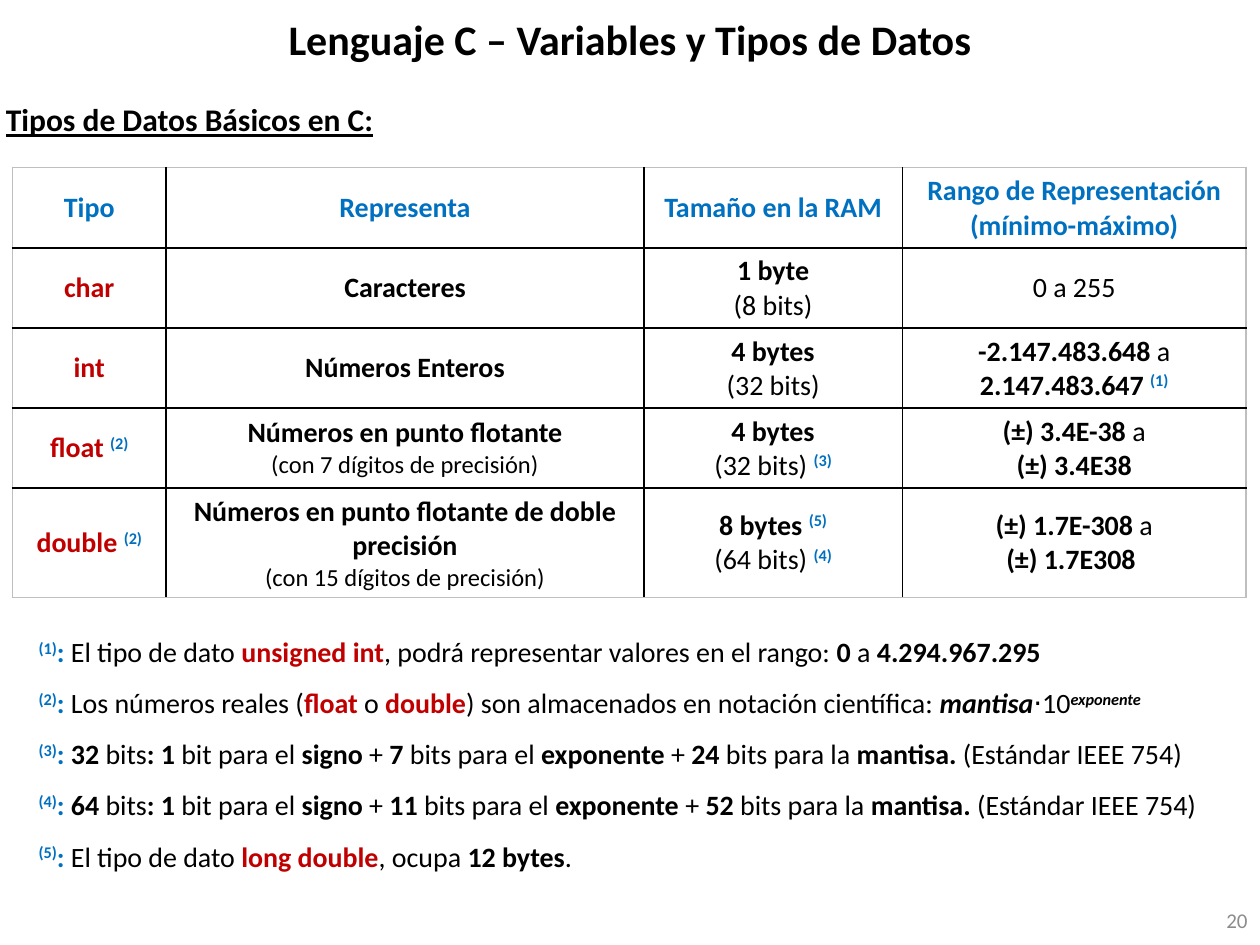
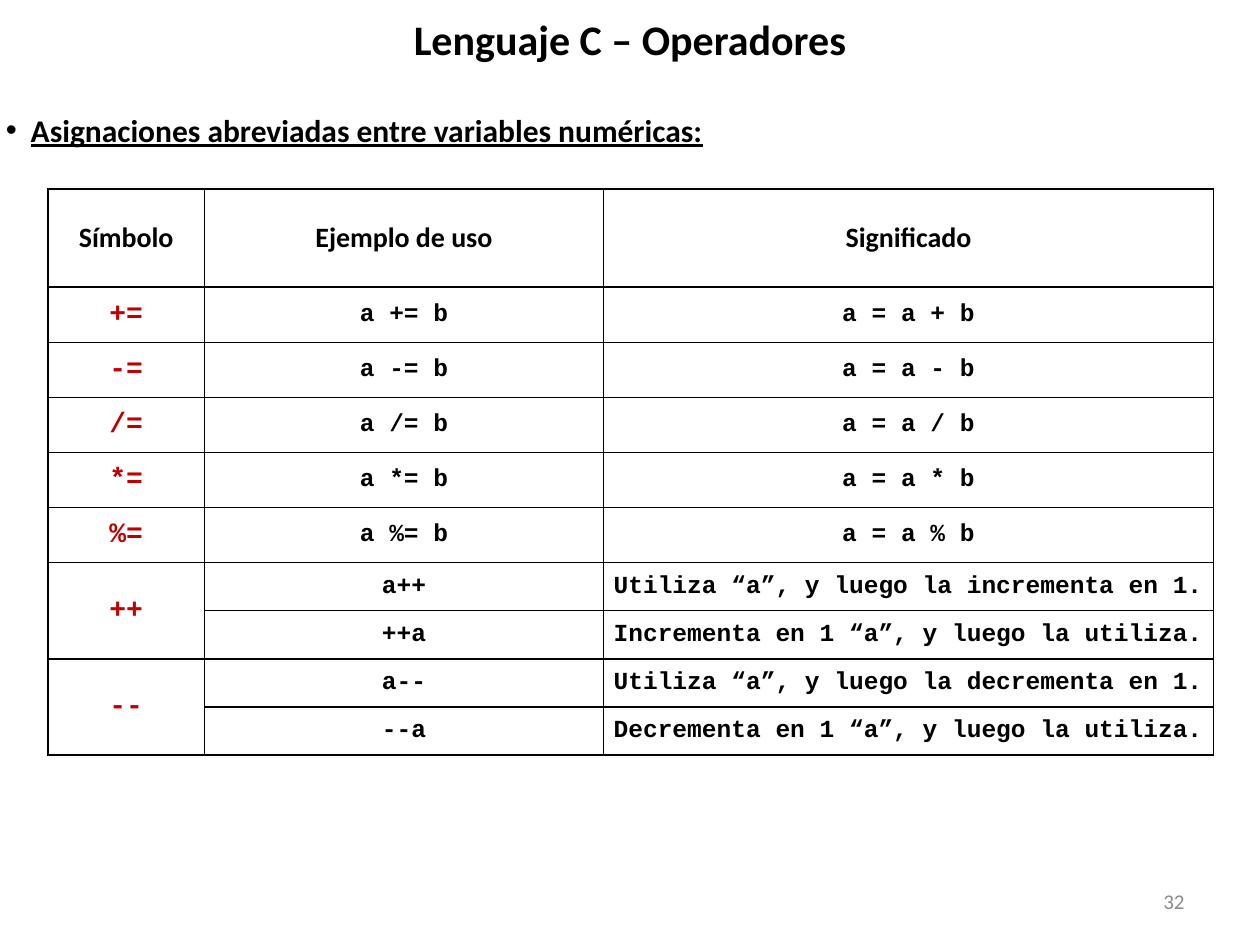
import functools
from dataclasses import dataclass

import lxml.etree
import pptx
import pptx.dml.color
import pptx.enum.text
import pptx.oxml.ns
import pptx.util

Cm = pptx.util.Cm
Pt = pptx.util.Pt
Align = pptx.enum.text.PP_ALIGN
Anchor = pptx.enum.text.MSO_ANCHOR
qn = pptx.oxml.ns.qn


@dataclass(frozen=True)
class Theme:
    black: str = "000000"
    white: str = "FFFFFF"
    blue: str = "0070C0"
    red: str = "C00000"
    grey: str = "8C8C8C"
    frame: str = "BFBFBF"
    font: str = "Calibri"
    code_font: str = "Courier New"
    title: int = 24
    heading: int = 18
    body: int = 16
    small: int = 14
    number: int = 12


THEME = Theme()


@dataclass(frozen=True)
class Run:
    text: str
    color: str = THEME.black
    bold: bool = False
    italic: bool = False
    underline: bool = False
    raised: bool = False


@dataclass(frozen=True)
class Line:
    """One paragraph: its runs, with a common size and typeface."""
    runs: tuple
    size: int = THEME.body
    font: str = THEME.font


plain = Run
bold = functools.partial(Run, bold=True)
header = functools.partial(bold, color=THEME.blue)
keyword = functools.partial(bold, color=THEME.red)
note = functools.partial(header, raised=True)


def line(*runs, **options):
    return Line(runs, **options)


def code(run, size=THEME.small):
    return line(run, size=size, font=THEME.code_font)


class Deck:
    def __init__(self, theme):
        self.theme = theme
        self.presentation = pptx.Presentation()
        self.presentation.slide_width = Cm(25.4)
        self.presentation.slide_height = Cm(19.05)
        self.slide = None

    def add_slide(self, title, number, number_left, number_top):
        layout = self.presentation.slide_layouts[6]
        self.slide = self.presentation.slides.add_slide(layout)
        self.text((1.27, 0, 22.86, 1.57), [line(bold(title), size=self.theme.title)],
                  Align.CENTER, Anchor.MIDDLE)
        self.text((number_left, number_top, 5.92, 1.02),
                  [line(plain(number, color=self.theme.grey), size=self.theme.number)],
                  Align.RIGHT, Anchor.MIDDLE)

    def text(self, box, lines, align=Align.JUSTIFY, anchor=Anchor.TOP,
             space_after=0, bullet=False):
        shape = self.slide.shapes.add_textbox(*map(Cm, box))
        frame = shape.text_frame
        frame.word_wrap = True
        frame.vertical_anchor = anchor
        self.set_lines(frame, lines, align, space_after, bullet)

    def heading(self, top, text, bullet=False):
        self.text((-0.13, top, 25.4, 1.02),
                  [line(bold(text, underline=True), size=self.theme.heading)],
                  bullet=bullet)

    def set_lines(self, frame, lines, align, space_after=0, bullet=False):
        for index, content in enumerate(lines):
            paragraph = frame.add_paragraph() if index else frame.paragraphs[0]
            paragraph.alignment = align
            if space_after:
                paragraph.space_after = Pt(space_after)
            if bullet:
                self.add_bullet(paragraph)
            paragraph.font.size = Pt(content.size)
            paragraph.font.name = content.font
            for part in content.runs:
                run = paragraph.add_run()
                run.text = part.text
                alone = len(content.runs) == 1
                self.style(paragraph.font if alone else run.font, part)
                if part.raised:
                    run._r.get_or_add_rPr().set("baseline", "30000")

    def style(self, font, part):
        font.color.rgb = pptx.dml.color.RGBColor.from_string(part.color)
        font.bold = part.bold
        font.italic = part.italic
        font.underline = part.underline

    def add_bullet(self, paragraph):
        properties = paragraph._p.get_or_add_pPr()
        indent = Cm(0.5)
        properties.set("marL", str(indent))
        properties.set("indent", str(-indent))
        lxml.etree.SubElement(properties, qn("a:buFont")).set("typeface", "Arial")
        lxml.etree.SubElement(properties, qn("a:buChar")).set("char", "•")

    def table(self, left, top, widths, heights, rows, margins, frame_color):
        """Draw rows of cells; None continues the cell above it."""
        graphic = self.slide.shapes.add_table(
            len(rows), len(widths), Cm(left), Cm(top),
            Cm(sum(widths)), Cm(sum(heights)))
        table = graphic.table
        table.first_row = table.horz_banding = False
        for column, width in zip(table.columns, widths):
            column.width = Cm(width)
        for row, height in zip(table.rows, heights):
            row.height = Cm(height)
        last_row, last_column = len(rows) - 1, len(widths) - 1
        for row, contents in enumerate(rows):
            for column, lines in enumerate(contents):
                cell = table.cell(row, column)
                edges = {"L": column == 0, "R": column == last_column,
                         "T": row == 0, "B": row == last_row}
                for side, outer in edges.items():
                    color = frame_color if outer else self.theme.black
                    self.add_border(cell, side, color)
                cell.fill.solid()
                cell.fill.fore_color.rgb = pptx.dml.color.RGBColor.from_string(
                    self.theme.white)
                cell.vertical_anchor = Anchor.MIDDLE
                cell.margin_left = cell.margin_right = Cm(margins[0])
                cell.margin_top = cell.margin_bottom = Cm(margins[1])
                if lines is None:
                    table.cell(row - 1, column).merge(cell)
                else:
                    self.set_lines(cell.text_frame, lines, Align.CENTER)

    def add_border(self, cell, side, color):
        properties = cell._tc.get_or_add_tcPr()
        border = lxml.etree.SubElement(properties, qn(f"a:ln{side}"), w=str(Pt(1)))
        fill = lxml.etree.SubElement(border, qn("a:solidFill"))
        lxml.etree.SubElement(fill, qn("a:srgbClr")).set("val", color)


def ieee_note(mark, bits, exponent, mantissa):
    return line(
        note(mark), header(":"), bold(f" {bits} "), plain("bits"), bold(": 1 "),
        plain("bit para el "), bold("signo "), plain("+ "), bold(f"{exponent} "),
        plain("bits para el "), bold("exponente "), plain("+ "),
        bold(f"{mantissa} "), plain("bits para la "), bold("mantisa."),
        plain(" (Estándar IEEE 754)"))


def build_data_types(deck):
    deck.add_slide("Lenguaje C – Variables y Tipos de Datos", "20", 19.48, 18.03)
    deck.heading(1.9, "Tipos de Datos Básicos en C:")
    rows = [
        [[line(header("Tipo"))], [line(header("Representa"))],
         [line(header("Tamaño en la RAM"))],
         [line(header("Rango de Representación")), line(header("(mínimo-máximo)"))]],
        [[line(keyword("char"))], [line(bold("Caracteres"))],
         [line(bold("1 byte")), line(plain("(8 bits)"))],
         [line(plain("0 a 255"))]],
        [[line(keyword("int"))], [line(bold("Números Enteros"))],
         [line(bold("4 bytes")), line(plain("(32 bits)"))],
         [line(bold("-2.147.483.648"), plain(" a")),
          line(bold("2.147.483.647 "), note("(1)"))]],
        [[line(keyword("float "), note("(2)"))],
         [line(bold("Números en punto flotante")),
          line(plain("(con 7 dígitos de precisión)"), size=THEME.small)],
         [line(bold("4 bytes")), line(plain("(32 bits) "), note("(3)"))],
         [line(bold("(±) 3.4E-38 "), plain("a")), line(bold("(±) 3.4E38"))]],
        [[line(keyword("double "), note("(2)"))],
         [line(bold("Números en punto flotante de doble precisión")),
          line(plain("(con 15 dígitos de precisión)"), size=THEME.small)],
         [line(bold("8 bytes "), note("(5)")),
          line(plain("(64 bits) "), note("(4)"))],
         [line(bold("(±) 1.7E-308 "), plain("a")), line(bold("(±) 1.7E308 "))]],
    ]
    deck.table(0.25, 3.38, [3.1, 9.63, 5.21, 6.93], [1.61] * 4 + [2.2],
               rows, (0.25, 0.13), THEME.frame)
    notes = [
        line(note("(1)"), header(": "), plain("El tipo de dato "),
             keyword("unsigned int"),
             plain(", podrá representar valores en el rango:"),
             bold(" 0 "), plain("a"), bold(" 4.294.967.295")),
        line(note("(2)"), header(": "), plain("Los números reales ("),
             keyword("float"), plain(" o "), keyword("double"),
             plain(") son almacenados en notación científica: "),
             bold("mantisa", italic=True), plain("⋅10"),
             bold("exponente", italic=True, raised=True)),
        ieee_note("(3)", 32, 7, 24),
        ieee_note("(4)", 64, 11, 52),
        line(note("(5)"), header(": "), plain("El tipo de dato "),
             keyword("long double"), plain(", ocupa "), bold("12 bytes"), plain(".")),
    ]
    deck.text((0.53, 12.67, 24.33, 5.11), notes, space_after=10)


def build_operators(deck):
    deck.add_slide("Lenguaje C – Operadores", "32", 18.21, 17.65)
    deck.heading(2.11, "Asignaciones abreviadas entre variables numéricas:", bullet=True)
    titles = ["Símbolo", "Ejemplo de uso", "Significado"]
    rows = [[[line(bold(title))] for title in titles]]
    operations = [(f"{sign}=", f"a {sign}= b", f"a = a {sign} b") for sign in "+-/*%"]
    for sign, verb in (("+", "incrementa"), ("-", "decrementa")):
        operations += [
            (sign * 2, f"a{sign * 2}", f"Utiliza “a”, y luego la {verb} en 1."),
            (None, f"{sign * 2}a", f"{verb.capitalize()} en 1 “a”, y luego la utiliza."),
        ]
    for symbol, example, meaning in operations:
        rows.append([symbol and [code(keyword(symbol), THEME.body)],
                     [code(bold(example))], [code(bold(meaning))]])
    deck.table(0.97, 3.81, [3.15, 8.05, 12.29], [1.98] + [1.11] * 5 + [0.97] * 4,
               rows, (0.13, 0), THEME.black)


def main():
    deck = Deck(THEME)
    build_data_types(deck)
    build_operators(deck)
    deck.presentation.save("out.pptx")


if __name__ == "__main__":
    main()
